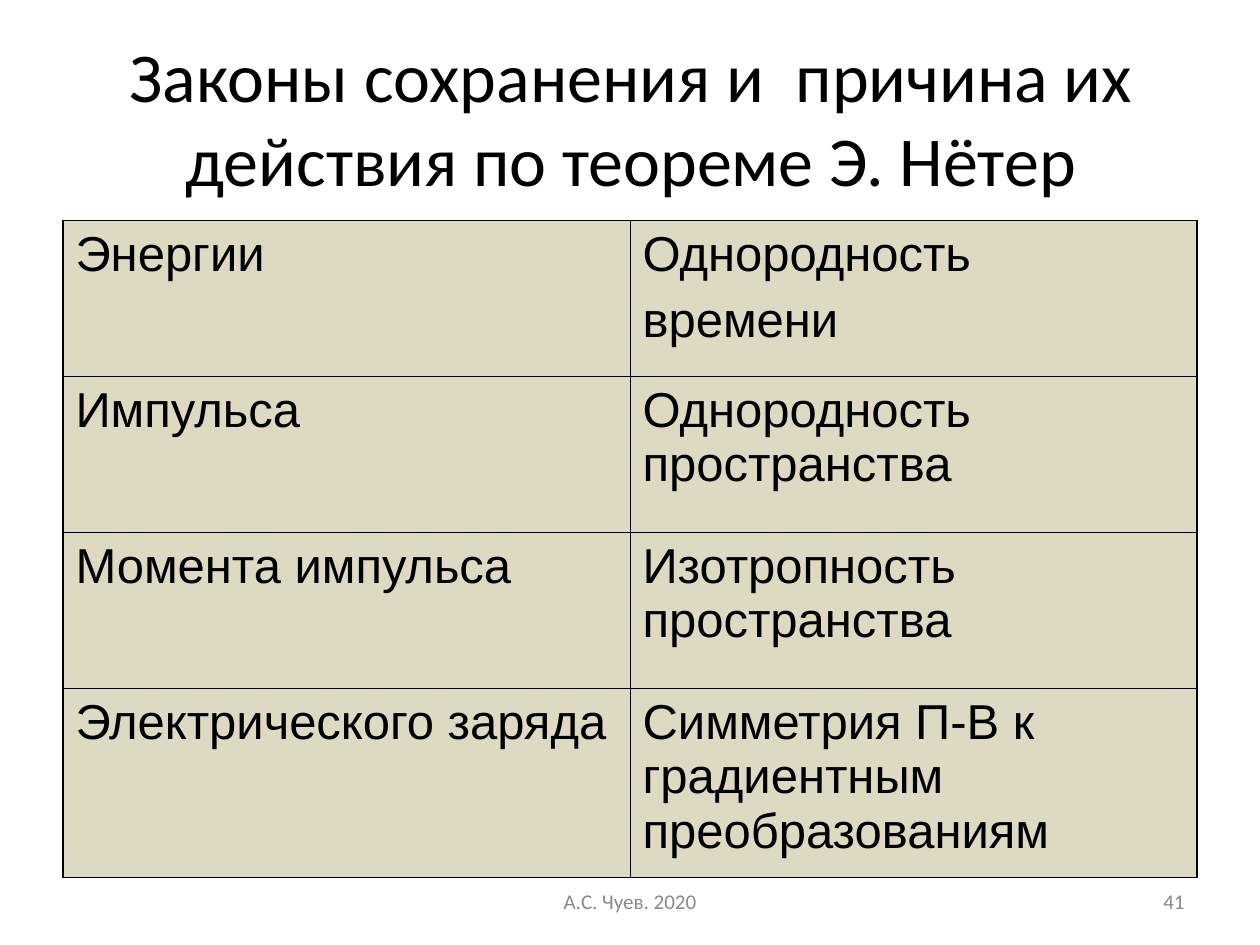
import dataclasses

import lxml.etree
import pptx
import pptx.dml.color
import pptx.enum.text
import pptx.oxml.ns
import pptx.util

Pt = pptx.util.Pt
RGB = pptx.dml.color.RGBColor
Align = pptx.enum.text.PP_ALIGN
Anchor = pptx.enum.text.MSO_ANCHOR


@dataclasses.dataclass(frozen=True)
class Theme:
    ink: str = "000000"
    muted: str = "898989"
    fill: str = "DDD9C3"
    head: str = "Calibri"
    body: str = "Arial"
    title: float = 40
    cell: float = 28
    small: float = 12
    outer: float = 1.08
    inner: float = 0.45


@dataclasses.dataclass(frozen=True)
class Law:
    name: str
    cause: tuple[str, ...]
    height: float = 89.15


@dataclasses.dataclass(frozen=True)
class Note:
    text: str
    left: float
    width: float
    align: Align


THEME = Theme()
LAWS = (
    Law("Энергии", ("Однородность", "времени")),
    Law("Импульса", ("Однородность пространства",)),
    Law("Момента импульса", ("Изотропность пространства",)),
    Law("Электрического заряда",
        ("Симметрия П-В к градиентным преобразованиям",), 108),
)
NOTES = (
    Note("А.С. Чуев. 2020", 246, 228, Align.CENTER),
    Note("41", 516, 168, Align.RIGHT),
)


def place(shape, left: float, top: float, width: float, height: float) -> None:
    shape.left, shape.top = Pt(left), Pt(top)
    shape.width, shape.height = Pt(width), Pt(height)


def write(para, text: str, face: str, size: float, color: str, align: Align) -> None:
    para.alignment = align
    run = para.add_run()
    run.text = text
    run.font.name = face
    run.font.size = Pt(size)
    run.font.color.rgb = RGB.from_string(color)


def border(cell, side: str, width: float) -> None:
    qn = pptx.oxml.ns.qn
    line = lxml.etree.SubElement(
        cell._tc.get_or_add_tcPr(), qn(f"a:ln{side}"), w=str(Pt(width)))
    fill = lxml.etree.SubElement(line, qn("a:solidFill"))
    lxml.etree.SubElement(fill, qn("a:srgbClr"), val=THEME.ink)


def fill_cell(cell, lines: tuple[str, ...], edges: dict[str, bool]) -> None:
    for side, outer in edges.items():
        border(cell, side, THEME.outer if outer else THEME.inner)
    cell.fill.solid()
    cell.fill.fore_color.rgb = RGB.from_string(THEME.fill)
    frame = cell.text_frame
    for i, text in enumerate(lines):
        para = frame.add_paragraph() if i else frame.paragraphs[0]
        if i:
            para.space_before = Pt(7)
        write(para, text, THEME.body, THEME.cell, THEME.ink, Align.LEFT)


def draw_title(slide) -> None:
    title = slide.shapes.title
    place(title, 36.5, 15, 648, 95)
    frame = title.text_frame
    frame.auto_size = pptx.enum.text.MSO_AUTO_SIZE.NONE
    frame.vertical_anchor = Anchor.TOP
    write(frame.paragraphs[0],
          "Законы сохранения и  причина их действия по теореме Э. Нётер",
          THEME.head, THEME.title, THEME.ink, Align.CENTER)


def draw_laws(slide) -> None:
    height = sum(law.height for law in LAWS)
    table = slide.shapes.add_table(
        len(LAWS), 2, Pt(36), Pt(126), Pt(648), Pt(height)).table
    table.first_row = table.horz_banding = False
    for r, law in enumerate(LAWS):
        table.rows[r].height = Pt(law.height)
        for c, lines in enumerate(((law.name,), law.cause)):
            edges = {"L": c == 0, "R": c == 1,
                     "T": r == 0, "B": r == len(LAWS) - 1}
            fill_cell(table.cell(r, c), lines, edges)


def draw_note(slide, note: Note) -> None:
    box = slide.shapes.add_textbox(Pt(note.left), Pt(500.5), Pt(note.width), Pt(28.75))
    frame = box.text_frame
    frame.word_wrap = True
    frame.vertical_anchor = Anchor.MIDDLE
    write(frame.paragraphs[0], note.text, THEME.head, THEME.small,
          THEME.muted, note.align)


def main() -> None:
    deck = pptx.Presentation()
    deck.slide_width, deck.slide_height = Pt(720), Pt(540)
    slide = deck.slides.add_slide(deck.slide_layouts[5])
    draw_title(slide)
    draw_laws(slide)
    for note in NOTES:
        draw_note(slide, note)
    deck.save("out.pptx")


if __name__ == "__main__":
    main()
